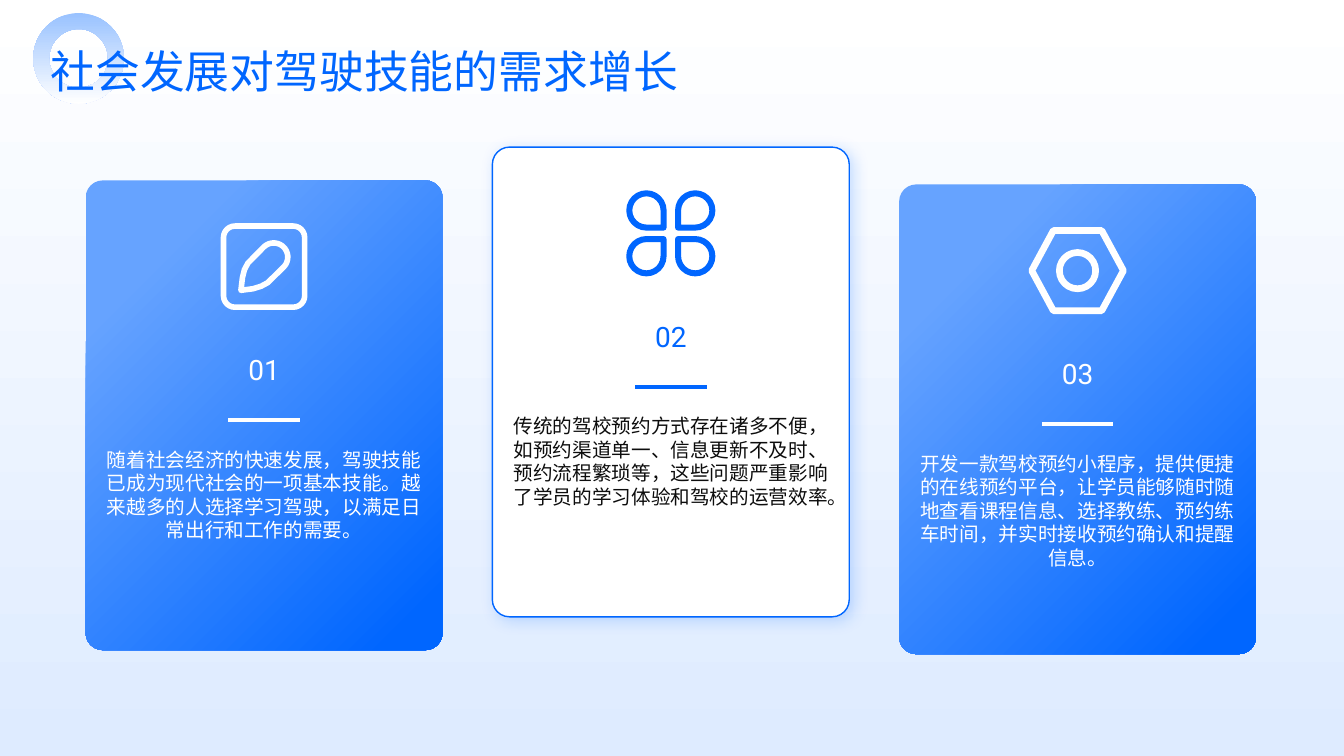
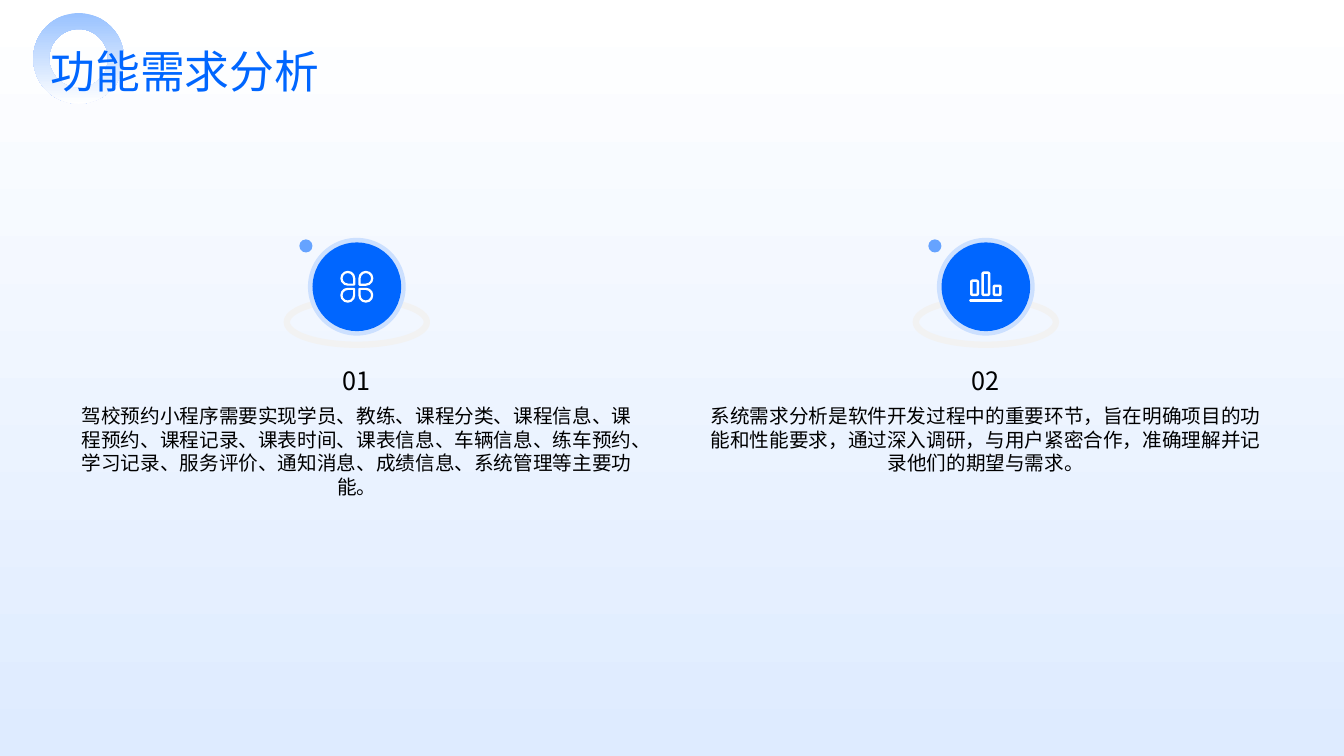
import math

from lxml import etree
from pptx import Presentation
from pptx import util as u
from pptx.dml.color import RGBColor
from pptx.enum import shapes, text
from pptx.oxml import parse_xml
from pptx.oxml.ns import nsdecls, qn

# Shared look
BLUE = RGBColor(0x00, 0x66, 0xFF)
SKY = RGBColor(0x66, 0xA3, 0xFF)
PALE = RGBColor(0x99, 0xC2, 0xFF)
HALO = RGBColor(0xCC, 0xE0, 0xFF)
MIST = RGBColor(0xDE, 0xEB, 0xFF)
GREY = RGBColor(0xF2, 0xF2, 0xF2)
WHITE = RGBColor(0xFF, 0xFF, 0xFF)
INK = RGBColor(0x0D, 0x0D, 0x0D)
BLACK = RGBColor(0x00, 0x00, 0x00)
HAN, LATIN = "Noto Sans CJK SC", "Roboto"
SHAPE = shapes.MSO_SHAPE
MIDDLE, TOP = text.MSO_ANCHOR.MIDDLE, text.MSO_ANCHOR.TOP
LEFT, CENTER = text.PP_ALIGN.LEFT, text.PP_ALIGN.CENTER

# The slide is a grid of square cells, ten to the inch
COLUMNS, ROWS = 133.33, 75
CARD_LEFT, CARD_STEP, CARD_WIDTH, CARD_HEIGHT = 8.5, 40.35, 35.4, 46.6
PANEL_LEFT, PANEL_STEP, PANEL_WIDTH = 7.2, 62.4, 56.4

CARDS = [
    ("01", 17.9, "随着社会经济的快速发展，驾驶技能已成为现代社会的一项基本技能。"
     "越来越多的人选择学习驾驶，以满足日常出行和工作的需要。"),
    ("02", 14.6, "传统的驾校预约方式存在诸多不便，如预约渠道单一、信息更新不及时、"
     "预约流程繁琐等，这些问题严重影响了学员的学习体验和驾校的运营效率。"),
    ("03", 18.3, "开发一款驾校预约小程序，提供便捷的在线预约平台，让学员能够随时随地"
     "查看课程信息、选择教练、预约练车时间，并实时接收预约确认和提醒信息。"),
]
PANELS = [
    ("01", "驾校预约小程序需要实现学员、教练、课程分类、课程信息、课程预约、课程记录、"
     "课表时间、课表信息、车辆信息、练车预约、学习记录、服务评价、通知消息、成绩信息、"
     "系统管理等主要功能。"),
    ("02", "系统需求分析是软件开发过程中的重要环节，旨在明确项目的功能和性能要求，"
     "通过深入调研，与用户紧密合作，准确理解并记录他们的期望与需求。"),
]


def cells(count):
    return u.Inches(count / 10)


def paint_gradient(fill, stops, angle):
    fill.gradient()
    fill.gradient_angle = angle
    for stop, (position, color) in zip(fill.gradient_stops, stops):
        stop.position = position
        stop.color.rgb = color


def style(shape, fill=None, line=None, weight=1):
    """Set fill and round-joined outline, without a shadow."""
    shape.shadow.inherit = False
    if fill is None:
        shape.fill.background()
    else:
        shape.fill.solid()
        shape.fill.fore_color.rgb = fill
    if line is None:
        shape.line.fill.background()
    else:
        shape.line.color.rgb = line
        shape.line.width = u.Pt(weight)
        etree.SubElement(shape.line._get_or_add_ln(), qn("a:round"))
    return shape


def add_shape(page, kind, left, top, width, height, **look):
    shape = page.shapes.add_shape(kind, *map(cells, (left, top, width, height)))
    return style(shape, **look)


def add_centered(page, kind, x, y, width, height, **look):
    return add_shape(page, kind, x - width / 2, y - height / 2, width, height, **look)


def add_line(page, x, y, length, color, weight):
    line = page.shapes.add_connector(
        shapes.MSO_CONNECTOR.STRAIGHT,
        *map(cells, (x - length / 2, y, x + length / 2, y)))
    line.line.color.rgb = color
    line.line.width = u.Pt(weight)
    etree.SubElement(line._element.spPr, qn("a:effectLst"))
    return line


def write(box, words, size, color, font=HAN, align=CENTER, anchor=TOP):
    frame = box.text_frame
    frame_format = dict(word_wrap=True, auto_size=text.MSO_AUTO_SIZE.NONE,
                        vertical_anchor=anchor, margin_left=0, margin_right=0,
                        margin_top=0, margin_bottom=0)
    for name, value in frame_format.items():
        setattr(frame, name, value)
    para = frame.paragraphs[0]
    para.alignment = align
    span = para.add_run()
    span.text = words
    for name, value in dict(size=u.Pt(size), name=font).items():
        setattr(span.font, name, value)
    span.font.color.rgb = color
    east = etree.SubElement(span._r.get_or_add_rPr(), qn("a:ea"))
    east.set("typeface", font)


def add_text(page, left, top, width, height, words, size, color, **layout):
    box = page.shapes.add_textbox(*map(cells, (left, top, width, height)))
    write(box, words, size, color, **layout)


# Icons, each centred on (x, y)
def add_petals(page, x, y, color, scale=1):
    for across, down, turn in ((-1, -1, 90), (1, -1, 180), (-1, 1, 0), (1, 1, 270)):
        petal = add_centered(page, SHAPE.TEAR, x + across * 2.42 * scale,
                             y + down * 2.27 * scale, 3.4 * scale, 3.4 * scale,
                             line=color, weight=4.3 * scale)
        petal.rotation = turn


def add_pencil(page, x, y, color):
    frame = add_centered(page, SHAPE.ROUNDED_RECTANGLE, x, y, 8.05, 8.05,
                         line=color, weight=4)
    frame.adjustments[0] = 0.14
    arc = [math.radians(angle) for angle in range(-135, 46, 12)]
    cap = [(0.95 + 1.4 * math.cos(a), -0.95 + 1.4 * math.sin(a)) for a in arc]
    outline = [(-2.3, 2.35), (-2.15, 1.1), (-1.95, 0.3), (-1.6, -0.35), *cap,
               (0.35, 1.6), (-0.3, 1.95), (-1.1, 2.2)]
    points = [(cells(x + across), cells(y + down)) for across, down in outline]
    path = page.shapes.build_freeform(*points[0])
    path.add_line_segments(points[1:], close=True)
    style(path.convert_to_shape(), line=color, weight=4)


def add_nut(page, x, y, color):
    nut = add_centered(page, SHAPE.HEXAGON, x, y, 9.1, 7.95, line=color, weight=4.8)
    nut.adjustments[0] = 0.27
    add_centered(page, SHAPE.OVAL, x, y, 3.6, 3.6, line=color, weight=4.8)


def add_bars(page, x, y, color):
    for index, height in enumerate((1.4, 2.2, 0.9)):
        bar = add_centered(page, SHAPE.ROUNDED_RECTANGLE, x + (index - 1) * 1.12,
                           y + 0.8 - height / 2, 0.65, height, line=color, weight=1.8)
        bar.adjustments[0] = 0.2
    base = add_line(page, x, y + 1.35, 3.05, color, 2)
    base.line._get_or_add_ln().set("cap", "rnd")


# Page parts
def add_page(deck, title):
    page = deck.slides.add_slide(deck.slide_layouts[5])
    ring = add_shape(page, SHAPE.DONUT, 3.3, 1.3, 9, 9)
    ring.adjustments[0] = 0.176
    paint_gradient(ring.fill, ((0, PALE), (1, WHITE)), 270)
    heading = page.shapes.title
    place = dict(left=5, top=4.7, width=113.2, height=4.7)
    for name, value in place.items():
        setattr(heading, name, cells(value))
    write(heading, title, 32, BLUE, align=LEFT, anchor=MIDDLE)
    page.shapes._spTree.append(heading._element)  # the title lies over the ring
    return page


def add_glow(shape):
    effects = shape._element.spPr.find(qn("a:effectLst"))
    effects.append(parse_xml(
        f'<a:outerShdw {nsdecls("a")} blurRad="{u.Pt(11)}" dist="{u.Pt(3)}" '
        f'dir="2700000" rotWithShape="0"><a:srgbClr val="{BLUE}">'
        '<a:alpha val="20000"/></a:srgbClr></a:outerShdw>'))


def add_card(page, left, top, number, words, draw_icon, raised):
    middle = left + CARD_WIDTH / 2
    card = add_shape(page, SHAPE.ROUNDED_RECTANGLE, left, top, CARD_WIDTH, CARD_HEIGHT,
                     fill=WHITE, line=BLUE if raised else None)
    card.adjustments[0] = 0.048
    if raised:
        add_glow(card)
    else:
        paint_gradient(card.fill, ((0.18, SKY), (0.93, BLUE)), 315)
    accent, ink = (BLUE, INK) if raised else (WHITE, WHITE)
    draw_icon(page, middle, top + 8.55, accent)
    add_text(page, middle - 5.3, top + 14.9, 10.6, 7.7, number, 20, accent,
             font=LATIN, anchor=MIDDLE)
    add_line(page, middle, top + 23.8, 7.1, accent, 3)
    add_text(page, left + 1.95, top + 26.5, 31.5, 17.3, words, 14, ink)


def add_panel(page, left, number, words, draw_icon, **icon_format):
    middle, badge_row = left + PANEL_WIDTH / 2, 28.45
    add_text(page, left, 40.1, PANEL_WIDTH, 24.9, words, 14, BLACK)
    add_text(page, left, 35, PANEL_WIDTH, 5.4, number, 18, BLACK, anchor=MIDDLE)
    add_centered(page, SHAPE.OVAL, middle, 31.95, 13.9, 4.5, line=GREY, weight=4.5)
    for size, color in ((9.7, HALO), (8.8, BLUE)):
        add_centered(page, SHAPE.OVAL, middle, badge_row, size, size, fill=color)
    draw_icon(page, middle, badge_row, WHITE, **icon_format)
    add_centered(page, SHAPE.OVAL, middle - 5.05, 24.4, 1.3, 1.3, fill=SKY)


def main():
    deck = Presentation()
    deck.slide_width, deck.slide_height = cells(COLUMNS), cells(ROWS)
    paint_gradient(deck.slide_master.background.fill, ((0, WHITE), (1, MIST)), 270)

    # Three reasons
    page = add_page(deck, "社会发展对驾驶技能的需求增长")
    icons = (add_pencil, add_petals, add_nut)
    for index, ((number, top, words), icon) in enumerate(zip(CARDS, icons)):
        add_card(page, CARD_LEFT + index * CARD_STEP, top, number, words, icon,
                 raised=index == 1)

    # Two requirements
    page = add_page(deck, "功能需求分析")
    icons = ((add_petals, dict(scale=0.37)), (add_bars, {}))
    for index, ((number, words), (icon, look)) in enumerate(zip(PANELS, icons)):
        add_panel(page, PANEL_LEFT + index * PANEL_STEP, number, words, icon, **look)

    deck.save("out.pptx")


if __name__ == "__main__":
    main()
